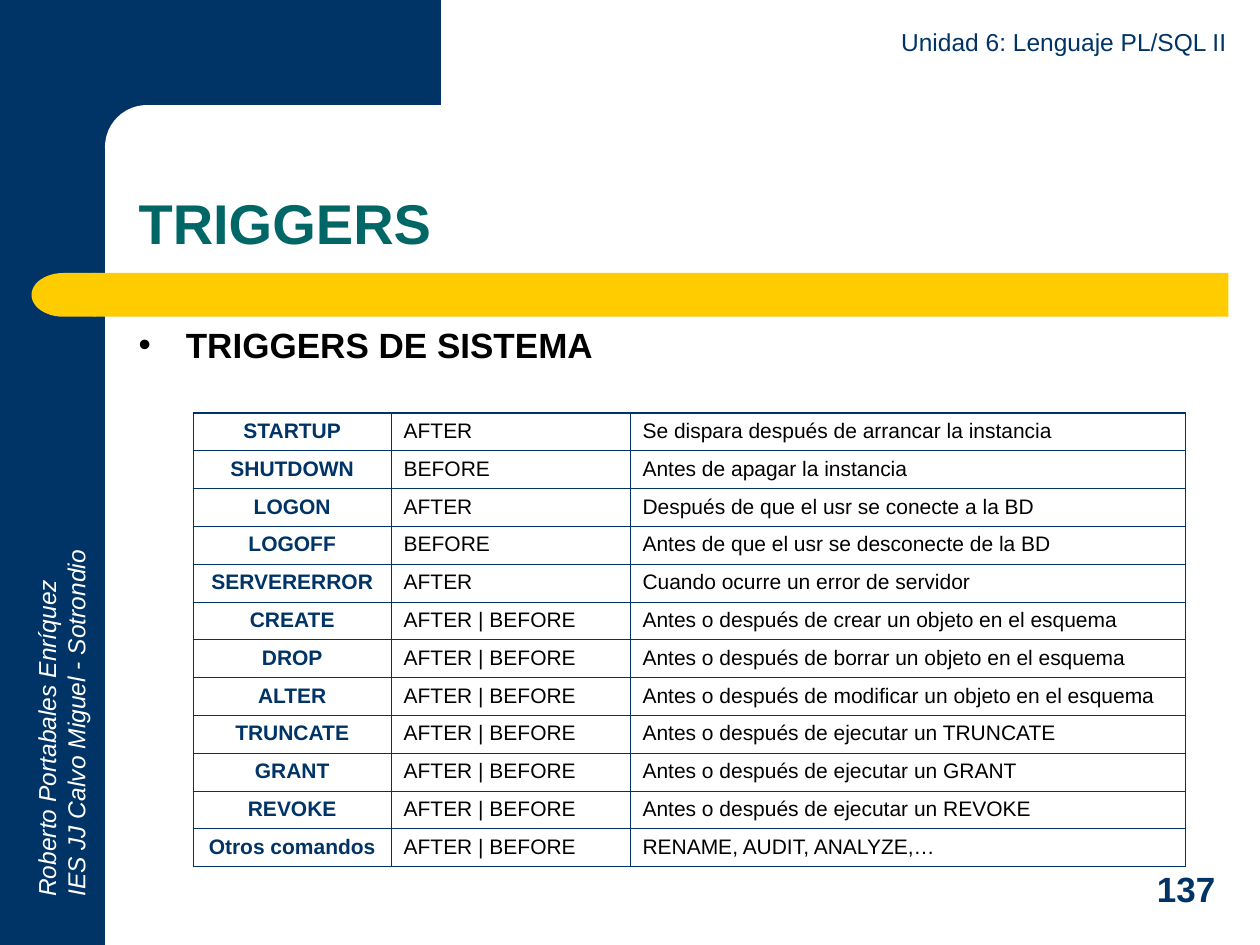
"""Build the slide that lists the system triggers of PL/SQL."""
from dataclasses import dataclass
from typing import NamedTuple

from lxml import etree
from pptx import Presentation
from pptx.dml.color import RGBColor
from pptx.enum import shapes, text
from pptx.oxml import ns
from pptx.util import Pt

Geo = shapes.MSO_SHAPE
Align = text.PP_ALIGN
Mid = text.MSO_ANCHOR


@dataclass(frozen=True)
class Theme:
    """Colours, type sizes and line widths."""
    navy: str = "003366"
    gold: str = "FFCC00"
    teal: str = "006666"
    white: str = "FFFFFF"
    black: str = "000000"
    font: str = "Arial"
    title: float = 32
    head: float = 20
    note: float = 14
    cell: float = 12
    thin: float = 0.45
    thick: float = 1.08


class Box(NamedTuple):
    """Left, top, width and height in points."""
    x: float
    y: float
    w: float
    h: float


class Block(NamedTuple):
    """A filled shape of the backdrop."""
    kind: Geo
    box: Box
    fill: str
    turn: float = 0
    adj: float | None = None


class Style(NamedTuple):
    """Look of a paragraph."""
    size: float
    color: str
    bold: bool = False
    slant: bool = False
    align: Align = Align.LEFT
    lead: float = 1.0


class Label(NamedTuple):
    """A free text box."""
    words: str
    box: Box
    style: Style
    anchor: Mid = Mid.TOP
    turn: float = 0


class Row(NamedTuple):
    """One line of the trigger table."""
    event: str
    time: str
    use: str


T = Theme()
BOTH = "AFTER | BEFORE"
BLOCKS = [
    Block(Geo.RECTANGLE, Box(0, 0, 60, 540), T.navy),
    Block(Geo.RECTANGLE, Box(54, 0, 198, 84), T.navy),
    Block(Geo.ROUNDED_RECTANGLE, Box(60, 60, 402, 48), T.white, adj=0.5),
    Block(Geo.ROUNDED_RECTANGLE, Box(53.5, 156, 648.5, 25), T.gold, adj=0),
    Block(Geo.FLOWCHART_DELAY, Box(18, 156, 36.5, 25), T.gold, turn=180),
]
LABELS = [
    Label("Roberto Portabales Enríquez\nIES JJ Calvo Miguel - Sotrondio",
          Box(-84, 380, 238, 41), Style(T.note, T.white, slant=True), turn=270),
    Label("Unidad 6: Lenguaje PL/SQL II", Box(258, 11.5, 450, 24.5),
          Style(T.note, T.navy, align=Align.RIGHT), Mid.BOTTOM),
    Label("137", Box(654, 492, 54, 31.5), Style(T.head, T.navy, bold=True),
          Mid.MIDDLE),
]
ROWS = [
    Row("STARTUP", "AFTER", "Se dispara después de arrancar la instancia"),
    Row("SHUTDOWN", "BEFORE", "Antes de apagar la instancia"),
    Row("LOGON", "AFTER", "Después de que el usr se conecte a la BD"),
    Row("LOGOFF", "BEFORE", "Antes de que el usr se desconecte de la BD"),
    Row("SERVERERROR", "AFTER", "Cuando ocurre un error de servidor"),
    Row("CREATE", BOTH, "Antes o después de crear un objeto en el esquema"),
    Row("DROP", BOTH, "Antes o después de borrar un objeto en el esquema"),
    Row("ALTER", BOTH, "Antes o después de modificar un objeto en el esquema"),
    Row("TRUNCATE", BOTH, "Antes o después de ejecutar un TRUNCATE"),
    Row("GRANT", BOTH, "Antes o después de ejecutar un GRANT"),
    Row("REVOKE", BOTH, "Antes o después de ejecutar un REVOKE"),
    Row("Otros comandos", BOTH, "RENAME, AUDIT, ANALYZE,…"),
]
GRID = Box(110.5, 236, 567, 259.2)
COLS = [113, 136.5, 317.5]


def write(frame, words: str, style: Style) -> None:
    """Fill a text frame with paragraphs of one style."""
    frame.text = words
    for par in frame.paragraphs:
        par.alignment = style.align
        par.line_spacing = style.lead
        par.space_before = Pt(0)
        font = par.font
        font.name, font.size = T.font, Pt(style.size)
        font.bold, font.italic = style.bold, style.slant
        font.color.rgb = RGBColor.from_string(style.color)


def block(slide, item: Block) -> None:
    """Draw a backdrop shape."""
    shape = slide.shapes.add_shape(item.kind, *map(Pt, item.box))
    shape.shadow.inherit = False
    shape.fill.solid()
    shape.fill.fore_color.rgb = RGBColor.from_string(item.fill)
    shape.line.fill.background()
    shape.rotation = item.turn
    if item.adj is not None:
        shape.adjustments[0] = item.adj


def label(slide, item: Label) -> None:
    """Draw a text box."""
    shape = slide.shapes.add_textbox(*map(Pt, item.box))
    shape.rotation = item.turn
    frame = shape.text_frame
    frame.word_wrap = True
    frame.vertical_anchor = item.anchor
    write(frame, item.words, item.style)


def holder(shape, words: str, box: Box, style: Style, anchor: Mid) -> None:
    """Place and fill a placeholder in front of the backdrop, without bullet."""
    shape.left, shape.top, shape.width, shape.height = map(Pt, box)
    shape.element.getparent().append(shape.element)
    frame = shape.text_frame
    frame.text = words
    frame.vertical_anchor = anchor
    frame.auto_size = text.MSO_AUTO_SIZE.NONE
    for par in frame.paragraphs:
        prop = par._p.get_or_add_pPr()
        prop.set("marL", "0")
        prop.set("indent", "0")
        etree.SubElement(prop, ns.qn("a:buNone"))
    write(frame, words, style)


def border(cell, side: str, width: float) -> None:
    """Rule one side of a cell."""
    prop = cell._tc.get_or_add_tcPr()
    line = etree.SubElement(prop, ns.qn(f"a:ln{side}"), w=str(Pt(width)))
    fill = etree.SubElement(line, ns.qn("a:solidFill"))
    etree.SubElement(fill, ns.qn("a:srgbClr"), val=T.navy)


def table(slide, rows: list[Row]) -> None:
    """Draw the trigger table with a thicker outer frame."""
    grid = slide.shapes.add_table(len(rows), len(COLS), *map(Pt, GRID)).table
    grid.first_row = grid.horz_banding = False
    for col, width in zip(grid.columns, COLS):
        col.width = Pt(width)
    event = Style(T.cell, T.navy, bold=True, align=Align.CENTER)
    plain = Style(T.cell, T.black)
    for i, row in enumerate(rows):
        for j, words in enumerate(row):
            cell = grid.cell(i, j)
            write(cell.text_frame, words, plain if j else event)
            edges = {"L": j == 0, "R": j == len(COLS) - 1,
                     "T": i == 0, "B": i == len(rows) - 1}
            for side, outer in edges.items():
                border(cell, side, T.thick if outer else T.thin)
            cell.fill.background()


def main() -> None:
    """Build and save the slide."""
    deck = Presentation()
    deck.slide_width, deck.slide_height = Pt(720), Pt(540)
    slide = deck.slides.add_slide(deck.slide_layouts[1])
    for item in BLOCKS:
        block(slide, item)
    for item in LABELS:
        label(slide, item)
    title, body = slide.placeholders
    holder(title, "TRIGGERS", Box(72, 60, 630, 90),
           Style(T.title, T.teal, bold=True, lead=0.9), Mid.BOTTOM)
    holder(body, "TRIGGERS DE SISTEMA", Box(72, 186, 628.5, 294),
           Style(T.head, T.black, bold=True, lead=0.8), Mid.TOP)
    table(slide, ROWS)
    deck.save("out.pptx")


if __name__ == "__main__":
    main()
